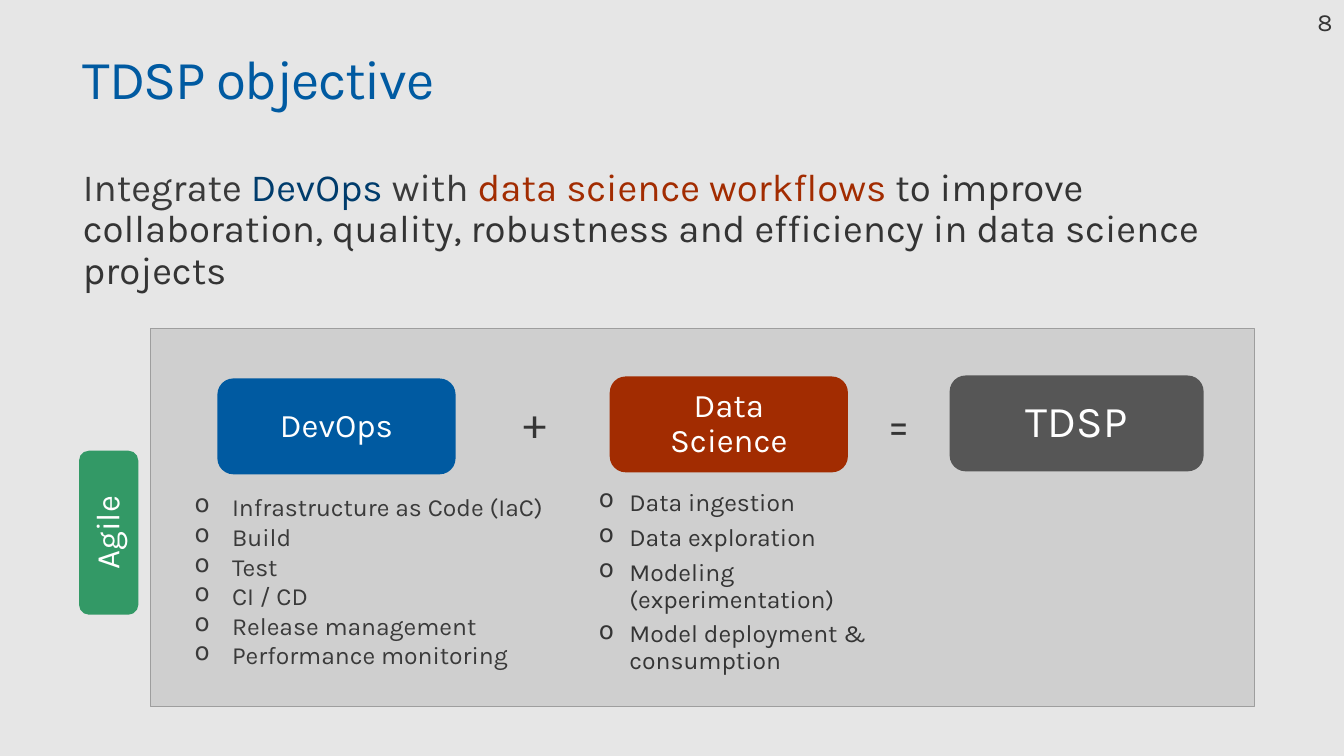
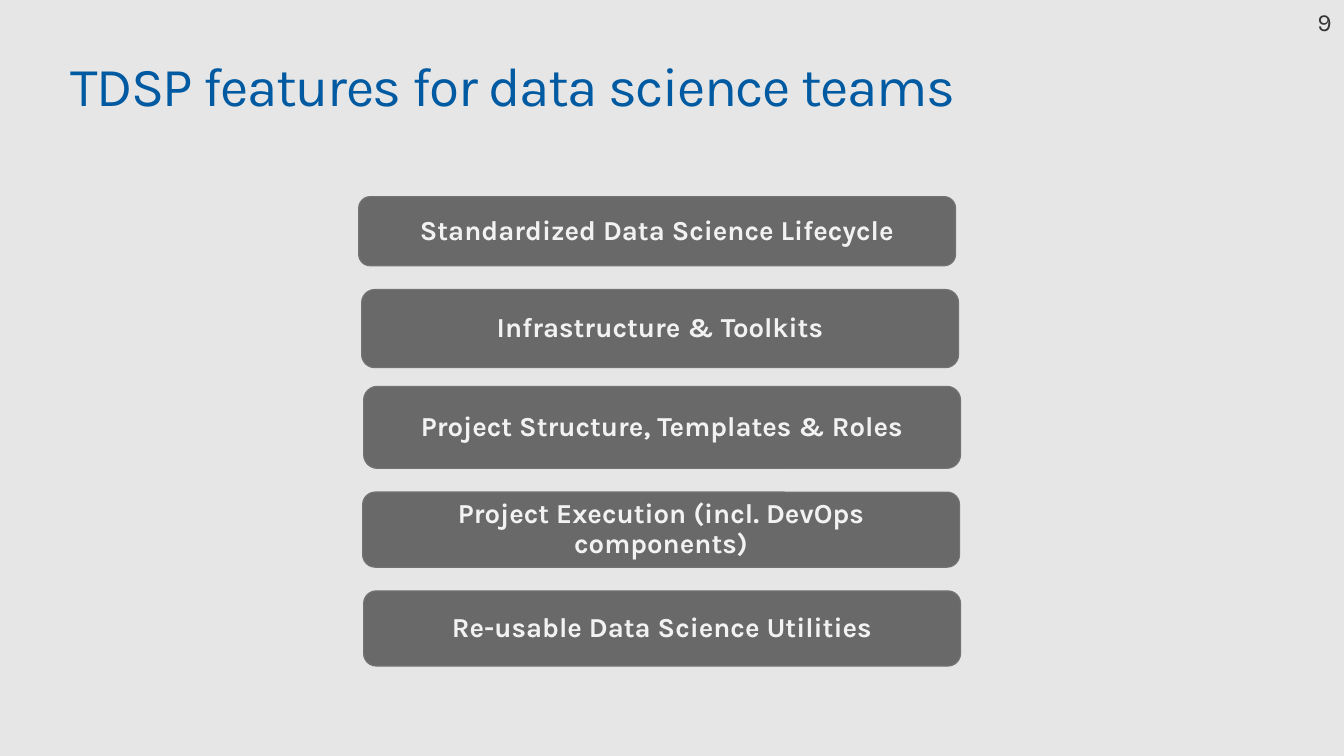
from lxml import etree
from pptx import Presentation
from pptx.dml.color import RGBColor
from pptx.enum.shapes import MSO_SHAPE
from pptx.enum.text import MSO_ANCHOR, MSO_AUTO_SIZE, PP_ALIGN
from pptx.oxml.ns import qn
from pptx.util import Emu, Pt

ROUNDED, RECTANGLE = MSO_SHAPE.ROUNDED_RECTANGLE, MSO_SHAPE.RECTANGLE
LEFT, CENTER = PP_ALIGN.LEFT, PP_ALIGN.CENTER
TOP, MIDDLE = MSO_ANCHOR.TOP, MSO_ANCHOR.MIDDLE
NO_FIT = MSO_AUTO_SIZE.NONE

EMU_PER_PX = 9144  # 100 px to the inch
SLIDE_WIDTH, SLIDE_HEIGHT = 1360, 765
FONT = "Karla"
BACKGROUND, PANEL, PANEL_LINE = "E6E6E6", "CFCFCF", "9E9E9E"
BLUE, NAVY, RUST, GREEN = "005AA1", "003C6C", "A22C01", "339966"
WHITE, OFF_WHITE = "FFFFFF", "F2F2F2"
CHARCOAL, BAR, BAR_LINE = "565656", "696969", "737373"
INK, INK_SOFT, INK_DARK = "353535", "3A3A3A", "343434"

TITLE_INSETS = (16, 10)
WIDE_INSETS = (20, 16)
LIST_INSETS = (10, 5)
BAR_INSETS = (16, 8)

OBJECTIVE = [
    ("Integrate ", INK_SOFT),
    ("DevOps ", NAVY),
    ("with ", INK_SOFT),
    ("data science workflows ", RUST),
    ("to improve collaboration, quality, robustness and efficiency "
     "in data science projects", INK_DARK),
]
DEVOPS_PRACTICES = [
    "Infrastructure as Code (IaC)", "Build", "Test", "CI / CD",
    "Release management", "Performance monitoring",
]
DATA_SCIENCE_STEPS = [
    "Data ingestion", "Data exploration", "Modeling (experimentation)",
    "Model deployment & consumption",
]
# Box relative to the panel, fill, label, text size
EQUATION_BOXES = [
    ((68, 51, 241, 97), BLUE, "DevOps", 24),
    ((465, 49, 241, 97), RUST, "Data Science", 24),
    ((809, 48, 257, 97), CHARCOAL, "TDSP", 32),
]
OPERATORS = [((358, 57, 108, 81), "+"), ((726, 59, 108, 81), "=")]
# Left, top and height relative to the stack, label
FEATURES = [
    (0, 0, 70, "Standardized Data Science Lifecycle"),
    (3, 94, 79, "Infrastructure & Toolkits"),
    (5, 192, 83, "Project Structure, Templates & Roles"),
    (4, 299, 76, "Project Execution (incl. DevOps components)"),
    (5, 399, 76, "Re-usable Data Science Utilities"),
]
FEATURE_WIDTH = 604


def px(length):
    return Emu(length * EMU_PER_PX)


def color(value):
    return RGBColor.from_string(value)


def apply(target, values):
    for name, value in values.items():
        setattr(target, name, value)


def within(box, part):
    """Turn a part's box, relative to an outer box, into slide px."""
    return (box[0] + part[0], box[1] + part[1], part[2], part[3])


def set_bullet(paragraph, indent):
    properties = paragraph._p.get_or_add_pPr()
    properties.set("marL", str(px(indent)))
    properties.set("indent", str(-px(indent)))
    etree.SubElement(properties, qn("a:buChar")).set("char", "o")


def write(shape, paragraphs, size, insets, bold=False, align=LEFT, anchor=TOP,
          wrap=True, line_spacing=0.9, space_after=0, bullet_indent=0):
    """Fill a shape with paragraphs, each a list of (text, colour) runs."""
    frame = shape.text_frame
    side, edge = map(px, insets)
    apply(frame, {
        "margin_left": side, "margin_right": side,
        "margin_top": edge, "margin_bottom": edge,
        "word_wrap": wrap, "vertical_anchor": anchor, "auto_size": NO_FIT,
    })
    for index, runs in enumerate(paragraphs):
        paragraph = frame.add_paragraph() if index else frame.paragraphs[0]
        if bullet_indent:
            set_bullet(paragraph, bullet_indent)
        apply(paragraph, {
            "alignment": align, "line_spacing": line_spacing,
            "space_before": Pt(0), "space_after": Pt(space_after),
        })
        for text, text_color in runs:
            run = paragraph.add_run()
            run.text = text
            apply(run.font, {"name": FONT, "size": Pt(size), "bold": bold})
            run.font.color.rgb = color(text_color)


def add_text(slide, box, paragraphs, size, insets, **style):
    shape = slide.shapes.add_textbox(*map(px, box))
    write(shape, paragraphs, size, insets, **style)


def add_box(slide, kind, box, fill, line=None, line_width=0.75):
    shape = slide.shapes.add_shape(kind, *map(px, box))
    shape.shadow.inherit = False
    shape.fill.solid()
    shape.fill.fore_color.rgb = color(fill)
    if line:
        shape.line.color.rgb = color(line)
        shape.line.width = Pt(line_width)
    else:
        shape.line.fill.background()
    return shape


def add_label_box(slide, box, fill, label, size):
    shape = add_box(slide, ROUNDED, box, fill)
    write(shape, [[(label, WHITE)]], size, WIDE_INSETS,
          align=CENTER, anchor=MIDDLE)
    return shape


def add_titled_slide(presentation, title, title_box, number):
    slide = presentation.slides.add_slide(presentation.slide_layouts[5])
    placeholder = slide.shapes.title
    left, top, width, height = map(px, title_box)
    apply(placeholder,
          {"left": left, "top": top, "width": width, "height": height})
    write(placeholder, [[(title, BLUE)]], 40, TITLE_INSETS)
    run = placeholder.text_frame.paragraphs[0].runs[0]
    run._r.get_or_add_rPr().set("spc", "-100")
    add_text(slide, (1333, 10, 20, 28), [[(number, INK)]], 18, (0, 0),
             wrap=False)
    return slide


def add_equation_panel(slide, box):
    """Draw DevOps + Data Science = TDSP, with the Agile tab at its left."""
    add_box(slide, RECTANGLE, box, PANEL, PANEL_LINE)
    for part, fill, label, size in EQUATION_BOXES:
        add_label_box(slide, within(box, part), fill, label, size)
    for part, sign in OPERATORS:
        add_text(slide, within(box, part), [[(sign, INK)]], 32, WIDE_INSETS,
                 wrap=False)
    add_text(slide, within(box, (35, 161, 378, 192)),
             [[(item, INK_SOFT)] for item in DEVOPS_PRACTICES],
             18, LIST_INSETS, line_spacing=1.0, bullet_indent=38)
    add_text(slide, within(box, (434, 148, 376, 194)),
             [[(item, INK)] for item in DATA_SCIENCE_STEPS],
             18, WIDE_INSETS, space_after=6, bullet_indent=31)
    agile = add_label_box(slide, within(box, (-125, 177, 166, 60)),
                          GREEN, "Agile", 24)
    agile.rotation = 270


def add_feature_stack(slide, left, top):
    for offset, drop, height, label in FEATURES:
        bar = add_box(slide, ROUNDED,
                      (left + offset, top + drop, FEATURE_WIDTH, height),
                      BAR, BAR_LINE, 0.85)
        write(bar, [[(label, OFF_WHITE)]], 20, BAR_INSETS, bold=True,
              align=CENTER, anchor=MIDDLE)


def add_objective_slide(presentation):
    slide = add_titled_slide(presentation, "TDSP objective",
                             (68, 43, 1225, 100), "8")
    add_text(slide, (68, 160, 1225, 150), [OBJECTIVE], 28, TITLE_INSETS)
    add_equation_panel(slide, (152, 332, 1117, 383))


def add_features_slide(presentation):
    slide = add_titled_slide(presentation,
                             "TDSP features for data science teams",
                             (55, 50, 1125, 100), "9")
    add_feature_stack(slide, 363, 199)


def main():
    presentation = Presentation()
    presentation.slide_width = px(SLIDE_WIDTH)
    presentation.slide_height = px(SLIDE_HEIGHT)
    background = presentation.slide_master.background.fill
    background.solid()
    background.fore_color.rgb = color(BACKGROUND)
    add_objective_slide(presentation)
    add_features_slide(presentation)
    presentation.save("out.pptx")


if __name__ == "__main__":
    main()
